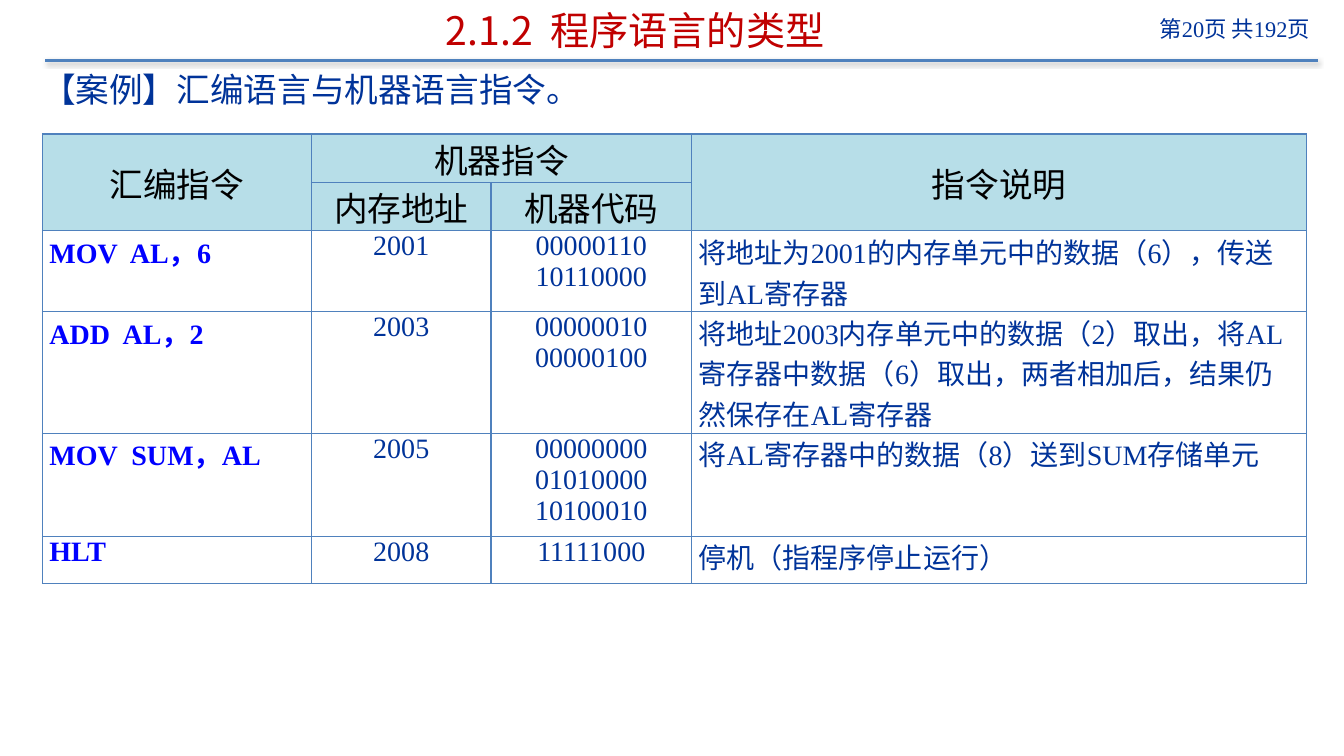
from dataclasses import dataclass

from lxml.etree import SubElement
from pptx import Presentation
from pptx.dml.color import RGBColor
from pptx.enum.shapes import MSO_CONNECTOR
from pptx.enum.text import MSO_ANCHOR, PP_ALIGN
from pptx.oxml.ns import qn
from pptx.util import Inches, Pt


@dataclass(frozen=True)
class Theme:
    latin: str = "Times New Roman"
    chinese: str = "Noto Sans CJK SC"
    navy: str = "003399"
    red: str = "C00000"
    code_blue: str = "0000FF"
    black: str = "000000"
    rule_blue: str = "4F81BD"
    header_fill: str = "B7DEE8"
    title_size: int = 28
    heading_size: int = 24
    cell_size: int = 20
    page_size: int = 16


HEADERS = [
    (0, 0, 1, 0, "汇编指令"),
    (0, 1, 0, 2, "机器指令"),
    (0, 3, 1, 3, "指令说明"),
    (1, 1, 1, 1, "内存地址"),
    (1, 2, 1, 2, "机器代码"),
]
INSTRUCTIONS = [
    ("MOV  AL，6", "2001", "00000110\n10110000",
     "将地址为2001的内存单元中的数据（6），传送到AL寄存器"),
    ("ADD  AL，2", "2003", "00000010\n00000100",
     "将地址2003内存单元中的数据（2）取出，将AL寄存器中数据（6）取出，两者相加后，结果仍然保存在AL寄存器"),
    ("MOV  SUM，AL", "2005", "00000000\n01010000\n10100010",
     "将AL寄存器中的数据（8）送到SUM存储单元"),
    ("HLT", "2008", "11111000", "停机（指程序停止运行）"),
]
COLUMN_WIDTHS = [2.67, 1.78, 1.99, 6.1]
ROW_HEIGHTS = [0.48, 0.48, 0.8, 1.21, 1.02, 0.47]


class SlideBuilder:
    def __init__(self, slide, theme):
        self.slide = slide
        self.theme = theme

    def format_text(self, text_frame, text, size, color, align=PP_ALIGN.LEFT, bold=False, latin=None):
        text_frame.text = text
        for paragraph in text_frame.paragraphs:
            paragraph.alignment = align
            for run in paragraph.runs:
                run.font.size = Pt(size)
                run.font.bold = bold
                run.font.color.rgb = RGBColor.from_string(color)
                run.font.name = latin or self.theme.latin
                SubElement(run.font._element, qn("a:ea"), typeface=self.theme.chinese)

    def text(self, left, top, width, height, text, size, color,
             align=PP_ALIGN.LEFT, anchor=MSO_ANCHOR.TOP, latin=None):
        box = self.slide.shapes.add_textbox(Inches(left), Inches(top), Inches(width), Inches(height))
        text_frame = box.text_frame
        text_frame.word_wrap = True
        text_frame.vertical_anchor = anchor
        text_frame.margin_top = text_frame.margin_bottom = 0
        self.format_text(text_frame, text, size, color, align, latin=latin)

    def rule(self, left, right, top):
        line = self.slide.shapes.add_connector(
            MSO_CONNECTOR.STRAIGHT, Inches(left), Inches(top), Inches(right), Inches(top))
        line.line.color.rgb = RGBColor.from_string(self.theme.rule_blue)
        line.line.width = Pt(2)
        effects = SubElement(line._element.spPr, qn("a:effectLst"))
        shadow = SubElement(effects, qn("a:outerShdw"), blurRad=str(Pt(3.1)), dist=str(Pt(1.6)),
                            dir="5400000", rotWithShape="0")
        color = SubElement(shadow, qn("a:srgbClr"), val=self.theme.black)
        SubElement(color, qn("a:alpha"), val="38000")

    def style_cell(self, cell):
        cell.margin_left = cell.margin_right = Inches(0.07)
        cell.margin_top = cell.margin_bottom = 0
        properties = cell._tc.get_or_add_tcPr()
        for side in ("lnL", "lnR", "lnT", "lnB"):
            border = SubElement(properties, qn(f"a:{side}"), w=str(Pt(1)))
            fill = SubElement(border, qn("a:solidFill"))
            SubElement(fill, qn("a:srgbClr"), val=self.theme.rule_blue)
        cell.fill.background()

    def instruction_table(self, left, top):
        theme = self.theme
        table = self.slide.shapes.add_table(
            len(ROW_HEIGHTS), len(COLUMN_WIDTHS), Inches(left), Inches(top),
            Inches(sum(COLUMN_WIDTHS)), Inches(sum(ROW_HEIGHTS))).table
        table.first_row = table.horz_banding = False
        for column, width in zip(table.columns, COLUMN_WIDTHS):
            column.width = Inches(width)
        for row, height in zip(table.rows, ROW_HEIGHTS):
            row.height = Inches(height)
        for cell in table.iter_cells():
            self.style_cell(cell)

        for first_row, first_column, last_row, last_column, label in HEADERS:
            cell = table.cell(first_row, first_column)
            if (first_row, first_column) != (last_row, last_column):
                cell.merge(table.cell(last_row, last_column))
            cell.fill.solid()
            cell.fill.fore_color.rgb = RGBColor.from_string(theme.header_fill)
            cell.vertical_anchor = MSO_ANCHOR.MIDDLE
            self.format_text(cell.text_frame, label, theme.heading_size, theme.black, PP_ALIGN.CENTER)

        for row, instruction in enumerate(INSTRUCTIONS, start=2):
            for column, value in enumerate(instruction):
                is_code = column == 0
                self.format_text(
                    table.cell(row, column).text_frame, value, theme.cell_size,
                    theme.code_blue if is_code else theme.navy,
                    PP_ALIGN.CENTER if column in (1, 2) else PP_ALIGN.LEFT, is_code)


def main():
    presentation = Presentation()
    presentation.slide_width = Inches(13.33)
    presentation.slide_height = Inches(7.5)
    theme = Theme()
    builder = SlideBuilder(presentation.slides.add_slide(presentation.slide_layouts[6]), theme)
    builder.rule(0.45, 13.07, 0.6)
    builder.text(10.83, 0.15, 2.26, 0.45, "第20页 共192页", theme.page_size, theme.navy, PP_ALIGN.RIGHT)
    builder.text(0.77, 0.02, 11.06, 0.56, "2.1.2  程序语言的类型", theme.title_size, theme.red,
                 PP_ALIGN.CENTER, MSO_ANCHOR.MIDDLE, theme.chinese)
    builder.text(0.32, 0.68, 12.74, 0.55, "【案例】汇编语言与机器语言指令。", theme.heading_size, theme.navy)
    builder.instruction_table(0.42, 1.33)
    presentation.save("out.pptx")


if __name__ == "__main__":
    main()
